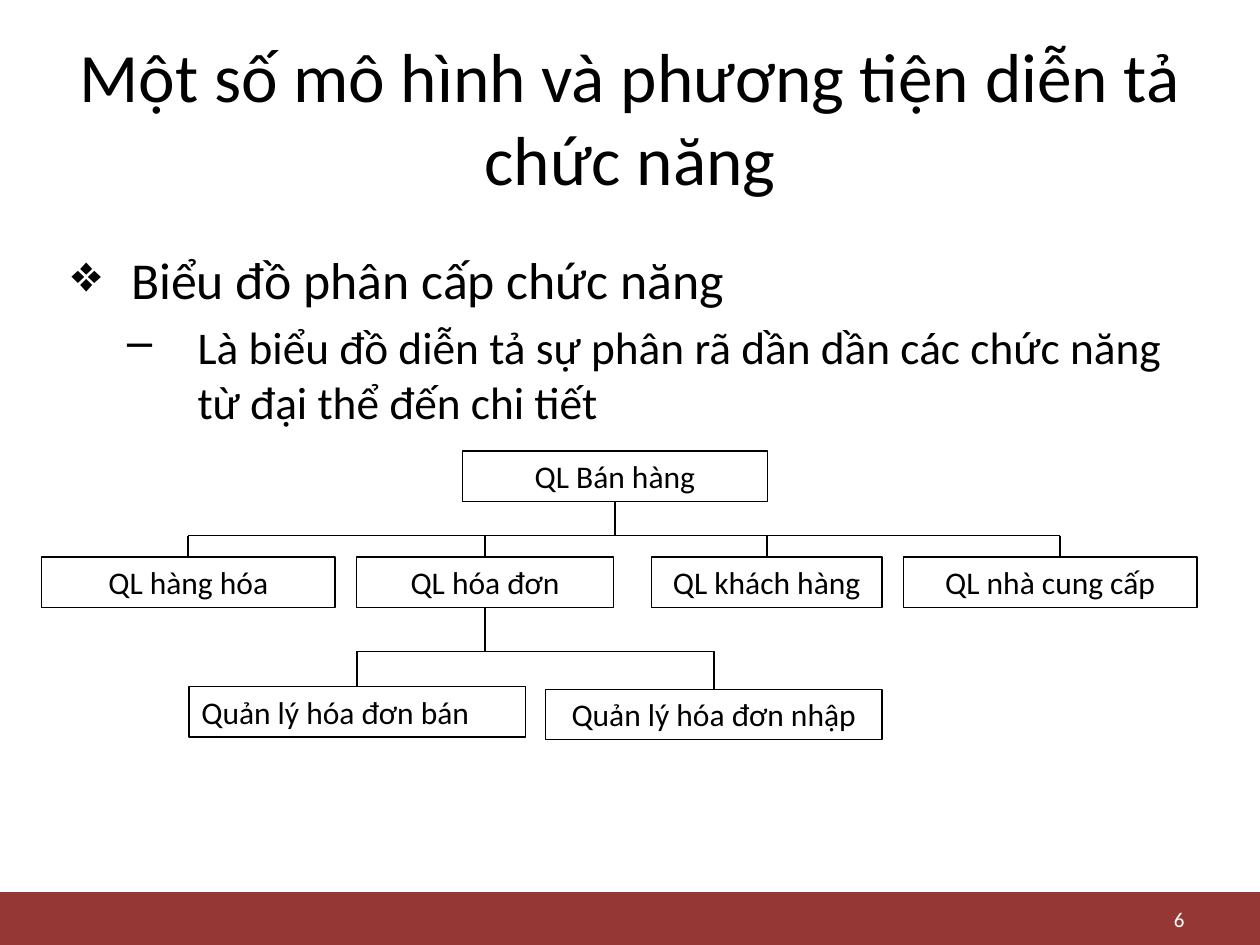
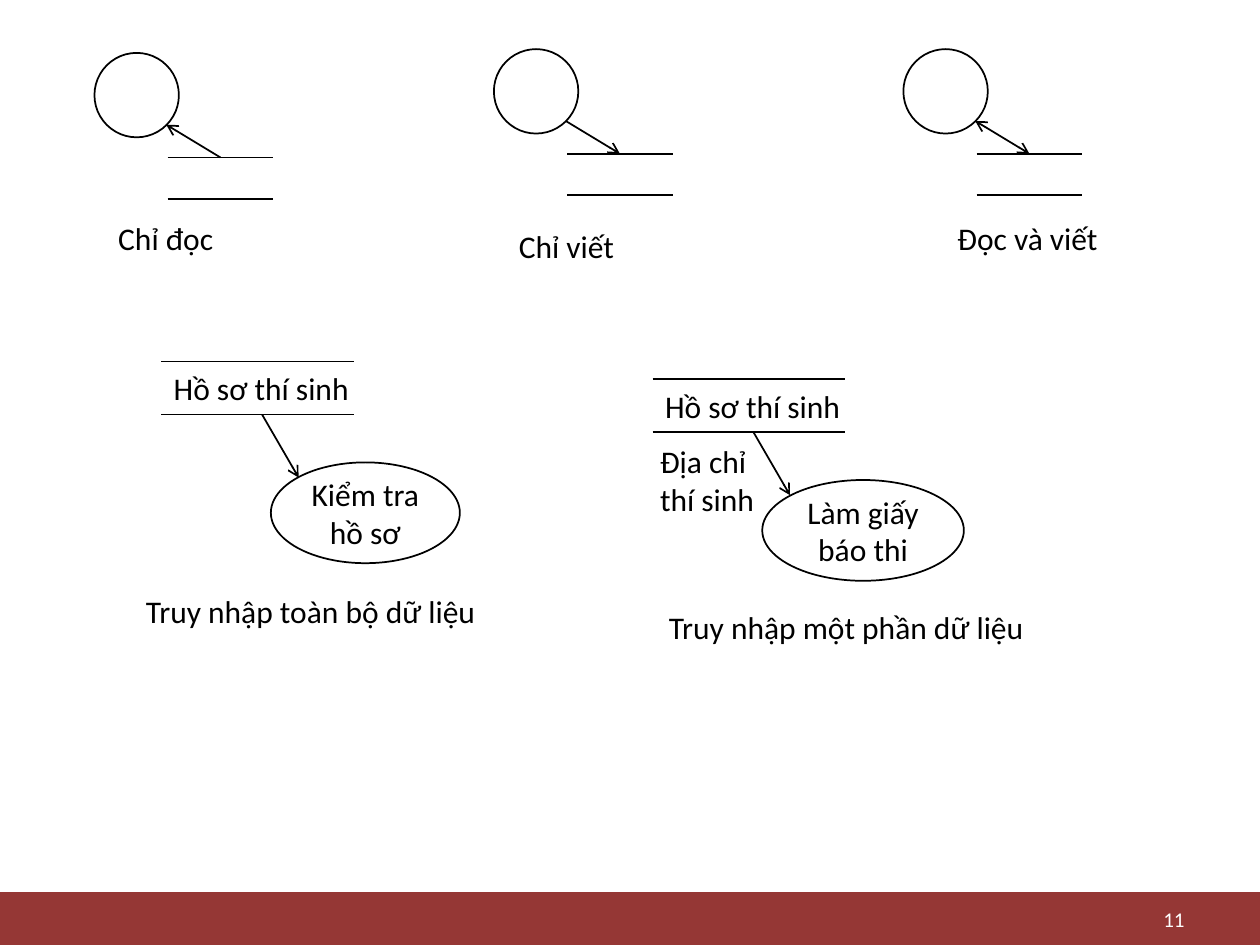
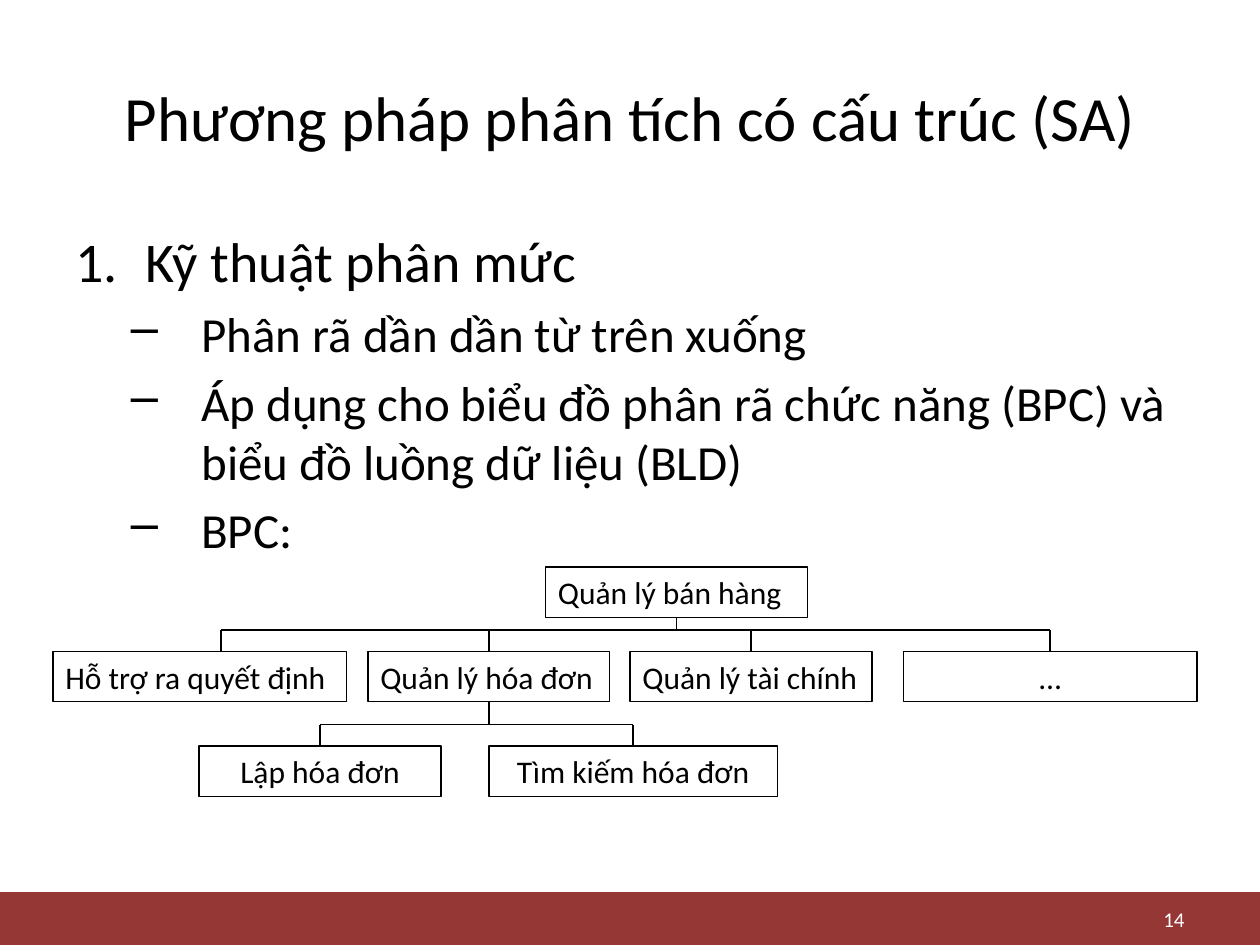
from dataclasses import dataclass

from lxml.etree import SubElement
from pptx import Presentation
from pptx.dml.color import RGBColor
from pptx.enum.shapes import MSO_CONNECTOR, MSO_SHAPE
from pptx.enum.text import MSO_ANCHOR, MSO_AUTO_SIZE, PP_ALIGN
from pptx.oxml.ns import qn
from pptx.util import Inches, Pt

TITLE_ONLY, BLANK = 5, 6
TOP, BOTTOM = 0, 2
LEFT, CENTER, RIGHT = PP_ALIGN.LEFT, PP_ALIGN.CENTER, PP_ALIGN.RIGHT


@dataclass(frozen=True)
class Theme:
    font: str = "Calibri"
    ink: RGBColor = RGBColor(0x00, 0x00, 0x00)
    band: RGBColor = RGBColor(0x95, 0x37, 0x35)
    on_band: RGBColor = RGBColor(0xFF, 0xFF, 0xFF)
    label_size: float = 18
    number_size: float = 12
    border: float = 0.75
    stroke: float = 1


@dataclass(frozen=True)
class Bullet:
    text: str
    size: float
    mark: str = "–"
    indent: float = 1
    hanging: float = 0.56


class SlideBuilder:
    def __init__(self, deck, theme):
        self.deck = deck
        self.theme = theme
        self.page = None

    def start(self, number, title=None, title_size=None):
        """Add a slide with the shared band, its number and an optional title."""
        layout = self.deck.slide_layouts[BLANK if title is None else TITLE_ONLY]
        self.page = self.deck.slides.add_slide(layout)
        band = self.shape(MSO_SHAPE.RECTANGLE, 0, 7.08, 10, 0.42)
        band.fill.solid()
        band.fill.fore_color.rgb = self.theme.band
        band.line.fill.background()
        number_box = self.text_box(7.17, 7.17, 2.33, 0.25)
        number_box.text_frame.vertical_anchor = MSO_ANCHOR.MIDDLE
        self.add_span(number_box.text_frame.paragraphs[0], str(number),
                      self.theme.number_size, RIGHT, self.theme.on_band)
        if title is not None:
            self.title(title, title_size)

    def title(self, text, size):
        box = self.page.shapes.title
        box.left, box.top, box.width, box.height = map(Inches, (0.5, 0.3, 9, 1.25))
        frame = box.text_frame
        frame.auto_size = MSO_AUTO_SIZE.NONE
        frame.vertical_anchor = MSO_ANCHOR.MIDDLE
        self.add_span(frame.paragraphs[0], text, size, CENTER)

    def add_span(self, para, text, size=None, align=LEFT, color=None):
        para.alignment = align
        span = para.add_run()
        span.text = text
        span.font.name = self.theme.font
        span.font.size = Pt(size or self.theme.label_size)
        span.font.color.rgb = self.theme.ink if color is None else color

    def text_box(self, left, top, width, height):
        box = self.page.shapes.add_textbox(*map(Inches, (left, top, width, height)))
        box.text_frame.word_wrap = True
        return box

    def label(self, left, top, width, *lines):
        """Add unwrapped text, one paragraph for each line."""
        frame = self.text_box(left, top, width, 0.1 + 0.3 * len(lines)).text_frame
        frame.word_wrap = False
        frame.auto_size = MSO_AUTO_SIZE.SHAPE_TO_FIT_TEXT
        for index, line in enumerate(lines):
            para = frame.add_paragraph() if index else frame.paragraphs[0]
            self.add_span(para, line)

    def bullets(self, left, top, width, height, items):
        frame = self.text_box(left, top, width, height).text_frame
        for index, item in enumerate(items):
            para = frame.add_paragraph() if index else frame.paragraphs[0]
            para.space_before = Pt(item.size * 0.2)
            self.add_span(para, item.text, item.size)
            properties = para._p.get_or_add_pPr()
            properties.set("marL", str(Inches(item.indent)))
            properties.set("indent", str(-Inches(item.hanging)))
            if item.mark == "1.":
                SubElement(properties, qn("a:buAutoNum")).set("type", "arabicPeriod")
            else:
                SubElement(properties, qn("a:buChar")).set("char", item.mark)

    def shape(self, kind, left, top, width, height, weight=None):
        """Add an unfilled outlined shape."""
        shape = self.page.shapes.add_shape(kind, *map(Inches, (left, top, width, height)))
        shape.shadow.inherit = False
        shape.fill.background()
        shape.line.color.rgb = self.theme.ink
        shape.line.width = Pt(weight or self.theme.stroke)
        return shape

    def box(self, left, top, width, text, align=CENTER):
        box = self.shape(MSO_SHAPE.RECTANGLE, left, top, width, 0.4, self.theme.border)
        frame = box.text_frame
        frame.word_wrap = True
        frame.auto_size = MSO_AUTO_SIZE.SHAPE_TO_FIT_TEXT
        frame.vertical_anchor = MSO_ANCHOR.TOP
        self.add_span(frame.paragraphs[0], text, align=align)
        return box

    def ellipse(self, left, top, width, height, text=None):
        ellipse = self.shape(MSO_SHAPE.OVAL, left, top, width, height)
        if text:
            frame = ellipse.text_frame
            frame.word_wrap = True
            frame.margin_left = frame.margin_right = Inches(0.05)
            self.add_span(frame.paragraphs[0], text, align=CENTER)

    def connector(self, start, end, arrows=()):
        """Draw a line; arrows names the ends ("head" is the start, "tail" the end)."""
        line = self.page.shapes.add_connector(MSO_CONNECTOR.STRAIGHT, *start, *end)
        line.line.color.rgb = self.theme.ink
        line.line.width = Pt(self.theme.stroke)
        for end_name in arrows:
            SubElement(line.line._ln, qn(f"a:{end_name}End")).set("type", "arrow")
        SubElement(line._element.spPr, qn("a:effectLst"))
        return line

    def line(self, x1, y1, x2, y2, arrows=()):
        return self.connector((Inches(x1), Inches(y1)), (Inches(x2), Inches(y2)), arrows)

    def tree(self, parent, children, bus_top, shifts=None):
        """Join parent to children by a bus; shifts moves a child's drop off its middle."""
        shifts = shifts or {}
        bus = Inches(bus_top)
        middle = parent.left + parent.width // 2
        stem = self.connector((middle, parent.top + parent.height), (middle, bus))
        stem.begin_connect(parent, BOTTOM)
        drops = []
        for index, child in enumerate(children):
            x = child.left + child.width // 2 + Inches(shifts.get(index, 0))
            drop = self.connector((x, bus), (x, child.top))
            if index not in shifts:
                drop.end_connect(child, TOP)
            drops.append(x)
        self.connector((drops[0], bus), (drops[-1], bus))

    def store(self, left, top, width, gap):
        """Draw a data store: two parallel lines."""
        for y in (top, top + gap):
            self.line(left, y, left + width, y)

    def access_mode(self, left, top, arrows):
        """Draw a process circle linked to a data store."""
        self.ellipse(left, top, 0.67, 0.67)
        self.store(left + 0.58, top + 0.83, 0.84, 0.33)
        self.line(left + 1, top + 0.83, left + 0.57, top + 0.57, arrows)

    def record_access(self, left, top, process, process_width):
        """Draw the candidate file feeding a process."""
        self.store(left, top, 1.53, 0.42)
        self.label(left, top + 0.01, 1.61, "Hồ sơ thí sinh")
        self.line(left + 0.8, top + 0.42, left + 1.09, top + 0.92, ("tail",))
        self.ellipse(left + 0.87, top + 0.8, process_width, 0.8, process)


def add_function_chart(slide):
    slide.start(6, "Một số mô hình và phương tiện diễn tả chức năng", 39.6)
    slide.bullets(0.47, 1.92, 9, 1.5, [
        Bullet(" Biểu đồ phân cấp chức năng", 29.6, "❖", 0.38, 0.38),
        Bullet("Là biểu đồ diễn tả sự phân rã dần dần các chức năng "
               "từ đại thể đến chi tiết", 25.9),
    ])
    sales = slide.box(3.67, 3.58, 2.42, "QL Bán hàng")
    areas = [slide.box(left, 4.42, width, text) for left, width, text in (
        (0.33, 2.33, "QL hàng hóa"),
        (2.83, 2.04, "QL hóa đơn"),
        (5.17, 1.83, "QL khách hàng"),
        (7.17, 2.33, "QL nhà cung cấp"),
    )]
    invoices = [
        slide.box(1.5, 5.45, 2.67, "Quản lý hóa đơn bán", LEFT),
        slide.box(4.33, 5.47, 2.67, "Quản lý hóa đơn nhập"),
    ]
    slide.tree(sales, areas, 4.25, {3: 0.08})
    slide.tree(areas[1], invoices, 5.17)


def add_data_access(slide):
    slide.start(11)
    slide.access_mode(0.75, 0.42, ("tail",))
    slide.access_mode(3.92, 0.39, ("head",))
    slide.access_mode(7.17, 0.39, ("head", "tail"))
    slide.label(0.84, 1.69, 0.96, "Chỉ đọc")
    slide.label(4.02, 1.75, 0.97, "Chỉ viết")
    slide.label(7.5, 1.69, 1.33, "Đọc và viết")
    slide.record_access(1.28, 2.87, "Kiểm tra hồ sơ", 1.5)
    slide.record_access(5.18, 3.01, "Làm giấy báo thi", 1.6)
    slide.label(5.14, 3.46, 0.96, "Địa chỉ", "thí sinh")
    slide.label(1.06, 4.65, 2.85, "Truy nhập toàn bộ dữ liệu")
    slide.label(5.21, 4.78, 3.05, "Truy nhập một phần dữ liệu")


def add_structured_analysis(slide):
    slide.start(14, "Phương pháp phân tích có cấu trúc (SA)", 36)
    slide.bullets(0.5, 1.75, 9, 2.92, [
        Bullet("Kỹ thuật phân mức", 32, "1.", 0.56),
        Bullet("Phân rã dần dần từ trên xuống", 28),
        Bullet("Áp dụng cho biểu đồ phân rã chức năng (BPC) và "
               "biểu đồ luồng dữ liệu (BLD)", 28),
        Bullet("BPC:", 28),
    ])
    sales = slide.box(4.33, 4.5, 2.08, "Quản lý bán hàng", LEFT)
    areas = [slide.box(left, 5.17, width, text, align) for left, width, text, align in (
        (0.42, 2.33, "Hỗ trợ ra quyết định", LEFT),
        (2.92, 1.92, "Quản lý hóa đơn", LEFT),
        (5, 1.92, "Quản lý tài chính", LEFT),
        (7.17, 2.33, "…", CENTER),
    )]
    invoices = [
        slide.box(1.58, 5.92, 1.92, "Lập hóa đơn"),
        slide.box(3.88, 5.92, 2.29, "Tìm kiếm hóa đơn"),
    ]
    slide.tree(sales, areas, 5, {0: 0.17})
    slide.tree(areas[1], invoices, 5.75)


def main():
    deck = Presentation()
    deck.slide_width, deck.slide_height = Inches(10), Inches(7.5)
    slide = SlideBuilder(deck, Theme())
    add_function_chart(slide)
    add_data_access(slide)
    add_structured_analysis(slide)
    deck.save("out.pptx")


if __name__ == "__main__":
    main()
